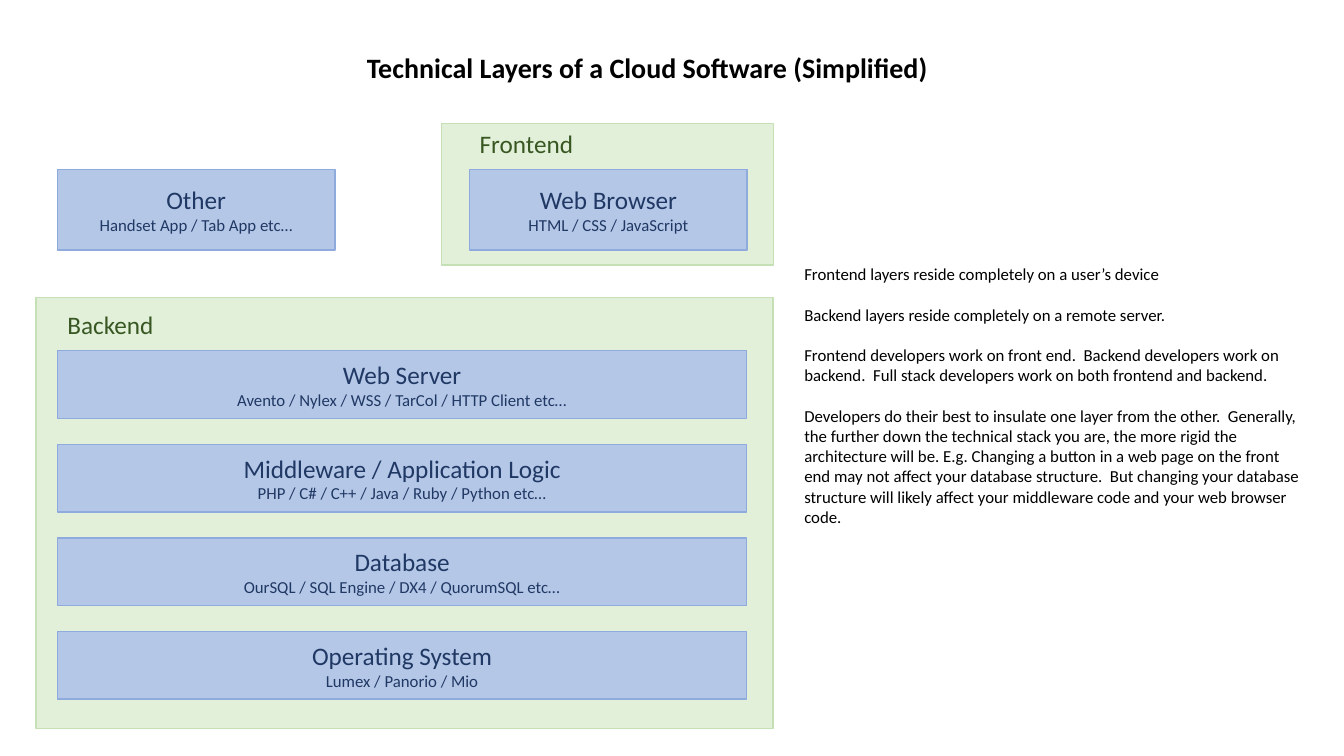
from dataclasses import dataclass

from pptx import Presentation
from pptx.dml.color import RGBColor
from pptx.enum.shapes import MSO_SHAPE as Preset
from pptx.enum.text import MSO_ANCHOR as Anchor, MSO_AUTO_SIZE as AutoSize, PP_ALIGN as Align
from pptx.util import Cm, Pt

COLORS = {
    "panel": "E2F0D9", "panel_line": "C5E0B4", "panel_text": "385723",
    "layer": "B4C7E7", "layer_line": "8FAADC", "layer_text": "203864",
    "text": "000000",
}
FONT = "Calibri"
LEFT = 1.45
LAYER_TOP, LAYER_PITCH = 8.84, 2.36


@dataclass(frozen=True)
class Box:
    """Lengths in centimetres."""
    left: float
    top: float
    width: float
    height: float

    def lengths(self) -> tuple:
        return Cm(self.left), Cm(self.top), Cm(self.width), Cm(self.height)


@dataclass(frozen=True)
class Panel:
    name: str
    box: Box
    label_box: Box


@dataclass(frozen=True)
class Layer:
    name: str
    examples: str
    box: Box


PANELS = [
    Panel("Frontend", Box(11.13, 3.12, 8.36, 3.56), Box(11.84, 3.12, 2.9, 1.02)),
    Panel("Backend", Box(0.91, 7.49, 18.57, 10.87), Box(LEFT, 7.67, 2.72, 1.02)),
]

CLIENT_LAYERS = [
    Layer("Other", "Handset App / Tab App etc…", Box(LEFT, 4.27, 6.99, 2.03)),
    Layer("Web Browser", "HTML / CSS / JavaScript", Box(11.84, 4.27, 6.99, 2.03)),
]

BACKEND_STACK = [
    ("Web Server", "Avento / Nylex / WSS / TarCol / HTTP Client etc…"),
    ("Middleware / Application Logic", "PHP / C# / C++ / Java / Ruby / Python etc…"),
    ("Database", "OurSQL / SQL Engine / DX4 / QuorumSQL etc…"),
    ("Operating System", "Lumex / Panorio / Mio"),
]
BACKEND_LAYERS = [
    Layer(name, examples, Box(LEFT, LAYER_TOP + i * LAYER_PITCH, 17.37, 1.7))
    for i, (name, examples) in enumerate(BACKEND_STACK)
]

NOTES = [
    "Frontend layers reside completely on a user’s device",
    "Backend layers reside completely on a remote server.",
    "Frontend developers work on front end.  Backend developers work on backend.  "
    "Full stack developers work on both frontend and backend.",
    "Developers do their best to insulate one layer from the other.  Generally, the "
    "further down the technical stack you are, the more rigid the architecture will be. "
    "E.g. Changing a button in a web page on the front end may not affect your database "
    "structure.  But changing your database structure will likely affect your middleware "
    "code and your web browser code.",
]


def rgb(name: str) -> RGBColor:
    return RGBColor.from_string(COLORS[name])


def write(p, text: str, *, size: float, color: str = "text", bold: bool = False,
          align: Align = Align.LEFT, before: float = 0) -> None:
    """Append a formatted run to a paragraph."""
    p.alignment = align
    p.space_before = Pt(before)
    r = p.add_run()
    r.text = text
    r.font.name, r.font.size, r.font.bold = FONT, Pt(size), bold
    r.font.color.rgb = rgb(color)


def add_rect(slide, box: Box, style: str):
    sp = slide.shapes.add_shape(Preset.RECTANGLE, *box.lengths())
    sp.shadow.inherit = False
    sp.fill.solid()
    sp.fill.fore_color.rgb = rgb(style)
    sp.line.color.rgb = rgb(f"{style}_line")
    sp.line.width = Pt(1)
    return sp


def add_text_frame(slide, box: Box, wrap: bool):
    tf = slide.shapes.add_textbox(*box.lengths()).text_frame
    tf.word_wrap = wrap
    tf.auto_size = AutoSize.SHAPE_TO_FIT_TEXT
    return tf


def add_panel(slide, panel: Panel) -> None:
    add_rect(slide, panel.box, "panel")
    tf = add_text_frame(slide, panel.label_box, wrap=False)
    write(tf.paragraphs[0], panel.name, size=18, color="panel_text")


def add_layer(slide, layer: Layer) -> None:
    tf = add_rect(slide, layer.box, "layer").text_frame
    tf.word_wrap = True
    tf.vertical_anchor = Anchor.MIDDLE
    p = tf.paragraphs[0]
    write(p, layer.name, size=18, color="layer_text", align=Align.CENTER)
    p.add_line_break()
    write(p, layer.examples, size=12, color="layer_text", align=Align.CENTER)


def set_title(slide, text: str, box: Box) -> None:
    sp = slide.shapes.title
    sp.left, sp.top, sp.width, sp.height = box.lengths()
    tf = sp.text_frame
    tf.word_wrap = False
    tf.auto_size = AutoSize.SHAPE_TO_FIT_TEXT
    tf.vertical_anchor = Anchor.TOP
    write(tf.paragraphs[0], text, size=20, bold=True)


def add_notes(slide, box: Box) -> None:
    tf = add_text_frame(slide, box, wrap=True)
    for i, note in enumerate(NOTES):
        p = tf.add_paragraph() if i else tf.paragraphs[0]
        write(p, note, size=12, before=14.5 if i else 0)


def main() -> None:
    prs = Presentation()
    prs.slide_width, prs.slide_height = Cm(33.87), Cm(19.05)
    slide = prs.slides.add_slide(prs.slide_layouts[5])

    # Title
    set_title(slide, "Technical Layers of a Cloud Software (Simplified)",
              Box(8.99, 1.14, 14.73, 1.12))

    # Panels behind the layers
    for panel in PANELS:
        add_panel(slide, panel)

    # Technical layers
    for layer in CLIENT_LAYERS + BACKEND_LAYERS:
        add_layer(slide, layer)

    # Explanation on the right
    add_notes(slide, Box(20.02, 6.53, 13.18, 6.93))

    prs.save("out.pptx")


if __name__ == "__main__":
    main()
